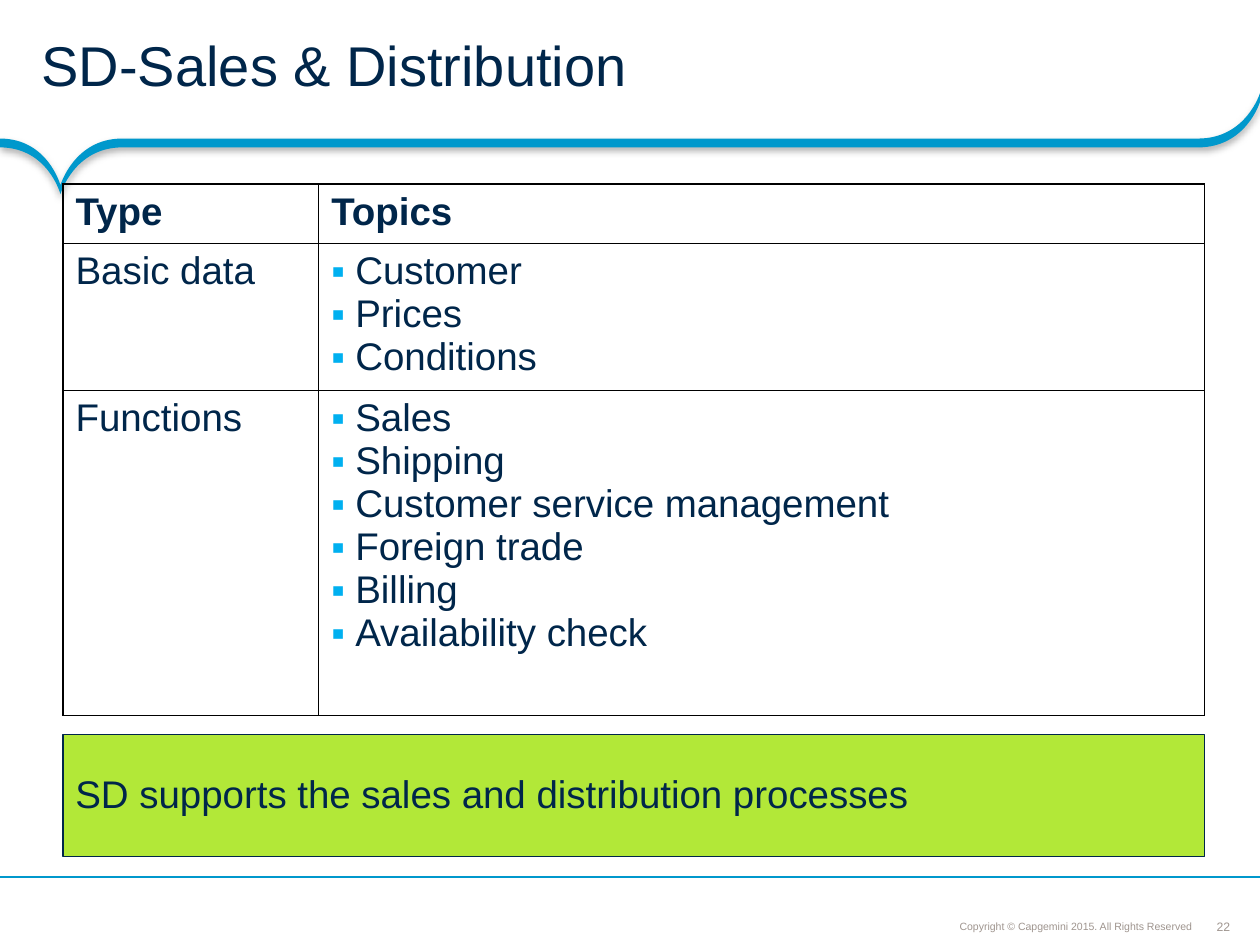
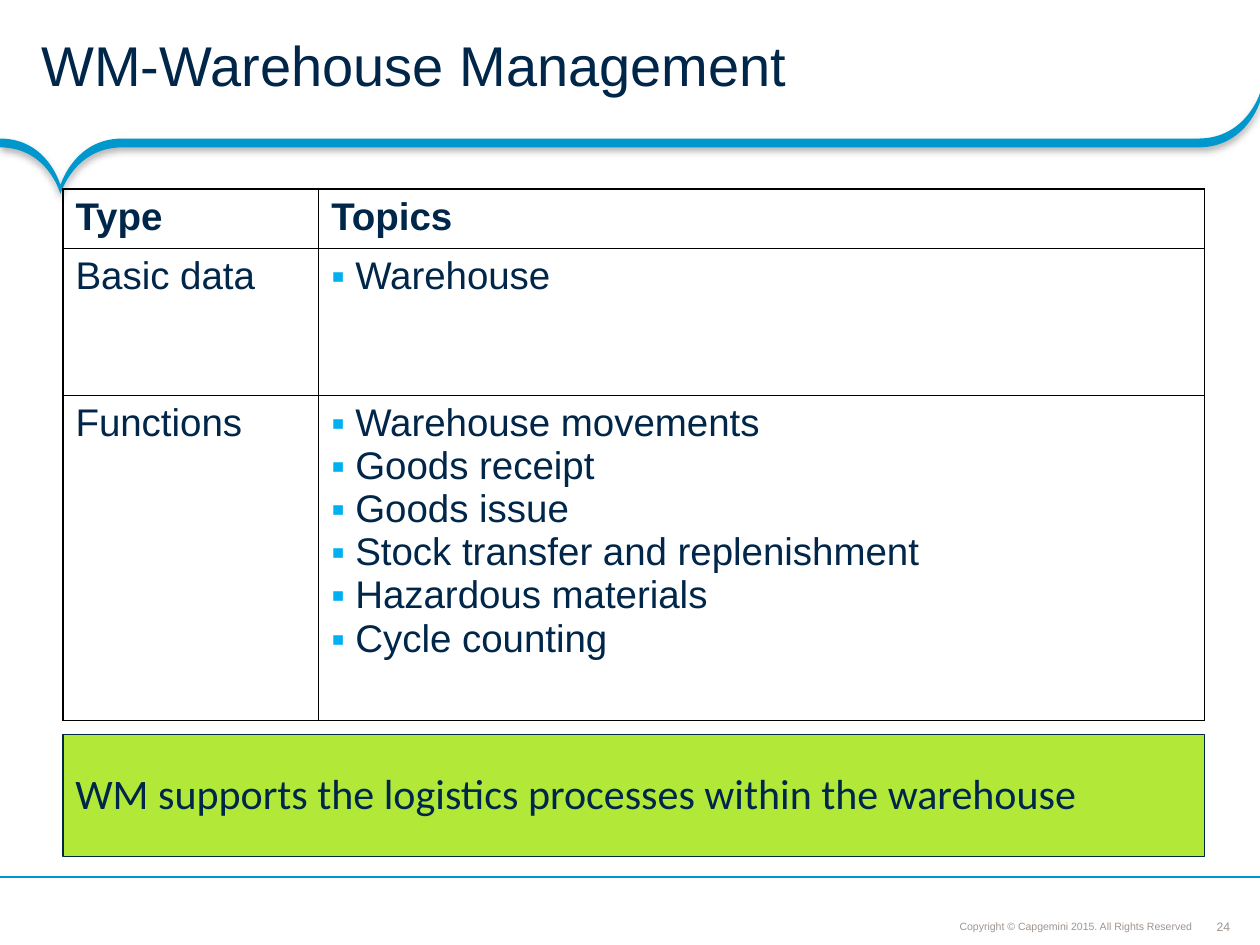
from dataclasses import dataclass

from lxml import etree
from pptx import Presentation
from pptx.dml.color import RGBColor
from pptx.enum.shapes import MSO_CONNECTOR, MSO_SHAPE
from pptx.enum.text import MSO_ANCHOR, PP_ALIGN
from pptx.oxml.ns import qn
from pptx.util import Inches, Pt

LEFT, CENTER, RIGHT = PP_ALIGN.LEFT, PP_ALIGN.CENTER, PP_ALIGN.RIGHT
MIDDLE, BOTTOM = MSO_ANCHOR.MIDDLE, MSO_ANCHOR.BOTTOM
RECTANGLE, STRAIGHT = MSO_SHAPE.RECTANGLE, MSO_CONNECTOR.STRAIGHT

COLORS = {
    "navy": "00264A",
    "blue": "0098CC",
    "bullet": "00B0F0",
    "green": "B2E838",
    "gray": "9F958F",
    "black": "000000",
}
COPYRIGHT = "Copyright © Capgemini 2015. All Rights Reserved"
SLIDE_WIDTH, SLIDE_HEIGHT = 10, 7.5
CONTENT_LEFT, CONTENT_WIDTH = 0.5, 9.06
COLUMN_WIDTHS = (2.03, 7.03)
ROW_HEIGHTS = (0.47, 1.17, 2.58)
BULLET_INDENT = 0.19
BAND_TOP, BAND_FLAT, BAND_THICKNESS = 0.74, 1.1, 0.07

Point = tuple[float, float]


@dataclass(frozen=True)
class TextStyle:
    size: float
    color: str = "navy"
    font: str = "Arial"
    bold: bool = False
    align: PP_ALIGN = LEFT
    line_spacing: float | None = None


@dataclass(frozen=True)
class BandEdge:
    """A cubic edge of the band with its two control points."""
    start: Point
    control_1: Point
    control_2: Point
    end: Point

    def lowered_and_reversed(self) -> "BandEdge":
        points = (self.end, self.control_2, self.control_1, self.start)
        return BandEdge(*((x, y + BAND_THICKNESS) for x, y in points))


@dataclass(frozen=True)
class ModuleSlide:
    number: int
    title: str
    table_top: float
    basic_data: tuple[str, ...]
    functions: tuple[str, ...]
    summary: str
    summary_style: TextStyle


TITLE = TextStyle(32, line_spacing=0.85)
HEADING = TextStyle(22, bold=True)
BODY = TextStyle(22)
FOOTER = TextStyle(6, "gray", align=RIGHT, line_spacing=0.9)
PAGE_NUMBER = TextStyle(7, "gray", align=CENTER)

NOTCH, CORNER = (0.48, 1.47), (SLIDE_WIDTH, BAND_TOP)
NOTCH_END, CORNER_START = (0.97, BAND_FLAT), (9.51, BAND_FLAT)
UPPER_EDGES = (
    BandEdge((0, BAND_FLAT), (0.38, BAND_FLAT), NOTCH, NOTCH),
    BandEdge(NOTCH, NOTCH, (0.59, BAND_FLAT), NOTCH_END),
    BandEdge(NOTCH_END, NOTCH_END, CORNER_START, CORNER_START),
    BandEdge(CORNER_START, (9.89, BAND_FLAT), CORNER, CORNER),
)

MODULES = (
    ModuleSlide(
        22, "SD-Sales & Distribution", 1.46,
        ("Customer", "Prices", "Conditions"),
        ("Sales", "Shipping", "Customer service management", "Foreign trade",
         "Billing", "Availability check"),
        "SD supports the sales and distribution processes",
        TextStyle(22, line_spacing=0.9),
    ),
    ModuleSlide(
        24, "WM-Warehouse Management", 1.5,
        ("Warehouse",),
        ("Warehouse movements", "Goods receipt", "Goods issue",
         "Stock transfer and replenishment", "Hazardous materials", "Cycle counting"),
        "WM supports the logistics processes within the warehouse",
        TextStyle(24, font="Calibri", line_spacing=0.9),
    ),
)


def rgb(name: str) -> RGBColor:
    return RGBColor.from_string(COLORS[name])


def add_element(parent, tag: str, **attributes):
    return etree.SubElement(parent, qn(tag), {k: str(v) for k, v in attributes.items()})


def add_bullet(paragraph) -> None:
    indent = Inches(BULLET_INDENT)
    properties = paragraph._p.get_or_add_pPr()
    properties.set("marL", str(indent))
    properties.set("indent", str(-indent))
    add_element(add_element(properties, "a:buClr"), "a:srgbClr", val=COLORS["bullet"])
    add_element(properties, "a:buFont", typeface="Arial")
    add_element(properties, "a:buChar", char="▪")


def write(frame, lines: tuple[str, ...], style: TextStyle, bulleted: bool = False) -> None:
    for index, line in enumerate(lines):
        paragraph = frame.add_paragraph() if index else frame.paragraphs[0]
        if bulleted:
            add_bullet(paragraph)
        paragraph.text = line
        paragraph.alignment = style.align
        paragraph.line_spacing = style.line_spacing
        paragraph.font.name = style.font
        paragraph.font.size = Pt(style.size)
        paragraph.font.bold = style.bold
        paragraph.font.color.rgb = rgb(style.color)


def set_frame(frame, anchor: MSO_ANCHOR, margins: tuple[float, ...], wrap: bool = True) -> None:
    frame.word_wrap = wrap
    frame.vertical_anchor = anchor
    (frame.margin_left, frame.margin_top,
     frame.margin_right, frame.margin_bottom) = map(Inches, margins)


def add_text(slide, box: tuple[float, ...], text: str, style: TextStyle,
             anchor: MSO_ANCHOR, margins: tuple[float, ...], wrap: bool = True) -> None:
    frame = slide.shapes.add_textbox(*map(Inches, box)).text_frame
    set_frame(frame, anchor, margins, wrap)
    write(frame, (text,), style)


def add_band(slide) -> None:
    lower_edges = tuple(edge.lowered_and_reversed() for edge in reversed(UPPER_EDGES))
    edges = UPPER_EDGES + lower_edges
    corners = [point for edge in edges for point in (edge.start, edge.end)]
    start, *others = [(Inches(x), Inches(y)) for x, y in corners]
    builder = slide.shapes.build_freeform(*start)
    builder.add_line_segments(others, close=True)
    band = builder.convert_to_shape()
    band.fill.solid()
    band.fill.fore_color.rgb = rgb("blue")
    band.line.fill.background()
    # Every second segment is an edge: bend it
    segments = list(band._element.iter(qn("a:lnTo")))
    for segment, edge in zip(segments[::2], edges):
        bend = etree.Element(qn("a:cubicBezTo"))
        for x, y in (edge.control_1, edge.control_2, edge.end):
            add_element(bend, "a:pt", x=Inches(x), y=Inches(y) - Inches(BAND_TOP))
        segment.getparent().replace(segment, bend)
    # The edges of one side share their end points
    for segment in segments[1:6:2] + segments[9::2]:
        segment.getparent().remove(segment)
    # Soft shadow straight below the band
    effects = add_element(band._element.spPr, "a:effectLst")
    shadow = add_element(effects, "a:outerShdw", blurRad=Pt(4), dist=Pt(2),
                         dir=90 * 60000, algn="t", rotWithShape=0)
    color = add_element(shadow, "a:srgbClr", val=COLORS["black"])
    add_element(color, "a:alpha", val=31000)


def add_frame(slide, number: int, title: str) -> None:
    # Footer and page number
    add_text(slide, (9.65, 7.29, 0.12, 0.12), str(number), PAGE_NUMBER,
             MIDDLE, (0, 0, 0, 0), wrap=False)
    add_band(slide)
    add_text(slide, (6.81, 7.24, 2.69, 0.2), COPYRIGHT, FOOTER, BOTTOM, (0.04,) * 4)
    footer_y = Inches(6.96)
    footer_rule = slide.shapes.add_connector(STRAIGHT, Inches(SLIDE_WIDTH), footer_y, 0, footer_y)
    footer_rule.line.color.rgb = rgb("blue")
    footer_rule.line.width = Pt(0.75)
    add_element(footer_rule._element.spPr, "a:effectLst")


def add_summary(slide, text: str, style: TextStyle) -> None:
    box = (CONTENT_LEFT, 5.83, CONTENT_WIDTH, 0.97)
    summary = slide.shapes.add_shape(RECTANGLE, *map(Inches, box))
    summary.shadow.inherit = False
    summary.fill.solid()
    summary.fill.fore_color.rgb = rgb("green")
    summary.line.color.rgb = rgb("navy")
    summary.line.width = Pt(0.75)
    set_frame(summary.text_frame, MIDDLE, (0.1, 0.05, 0.1, 0.05))
    write(summary.text_frame, (text,), style)


def set_borders(cell) -> None:
    properties = cell._tc.get_or_add_tcPr()
    for side in ("a:lnL", "a:lnR", "a:lnT", "a:lnB"):
        border = add_element(properties, side, w=Pt(0.75))
        add_element(add_element(border, "a:solidFill"), "a:srgbClr", val=COLORS["black"])


def add_topics(slide, module: ModuleSlide) -> None:
    box = (CONTENT_LEFT, module.table_top, CONTENT_WIDTH, sum(ROW_HEIGHTS))
    topics = slide.shapes.add_table(len(ROW_HEIGHTS), len(COLUMN_WIDTHS), *map(Inches, box)).table
    topics.first_row = topics.horz_banding = False
    for column, width in zip(topics.columns, COLUMN_WIDTHS):
        column.width = Inches(width)
    for row, height in zip(topics.rows, ROW_HEIGHTS):
        row.height = Inches(height)
    contents = (
        (("Type",), ("Topics",)),
        (("Basic data",), module.basic_data),
        (("Functions",), module.functions),
    )
    for row_index, row_contents in enumerate(contents):
        for column_index, lines in enumerate(row_contents):
            cell = topics.cell(row_index, column_index)
            set_borders(cell)
            cell.fill.background()
            cell.margin_bottom = 0
            write(cell.text_frame, lines, BODY if row_index else HEADING,
                  bulleted=row_index > 0 and column_index == 1)


def main() -> None:
    presentation = Presentation()
    presentation.slide_width = Inches(SLIDE_WIDTH)
    presentation.slide_height = Inches(SLIDE_HEIGHT)
    blank = presentation.slide_layouts[6]
    for module in MODULES:
        slide = presentation.slides.add_slide(blank)
        add_frame(slide, module.number, module.title)
        add_summary(slide, module.summary, module.summary_style)
        add_text(slide, (0, 0, SLIDE_WIDTH, 1.1), module.title, TITLE,
                 MIDDLE, (0.33, 0.04, 0.18, 0.04))
        add_topics(slide, module)
    presentation.save("out.pptx")


if __name__ == "__main__":
    main()
